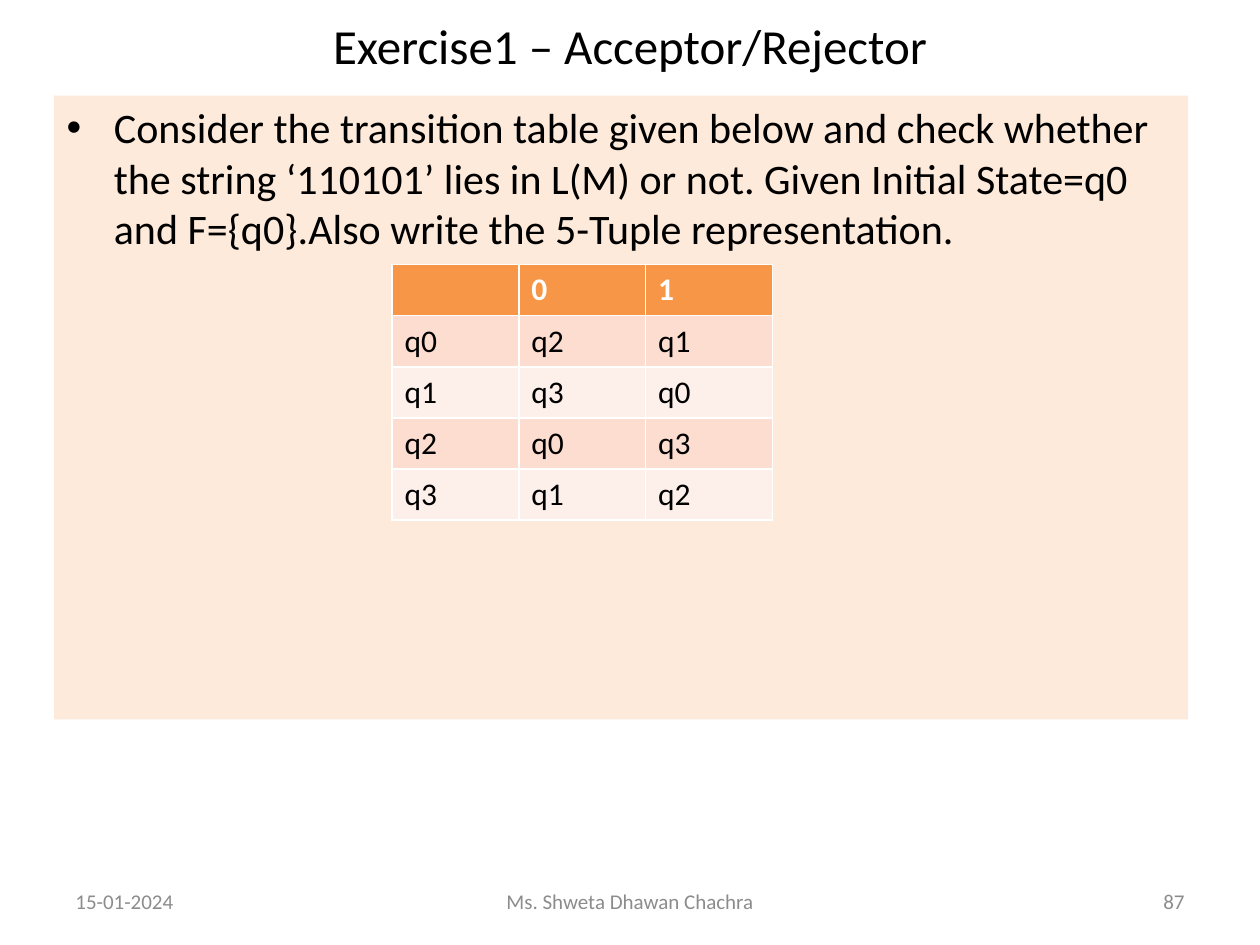
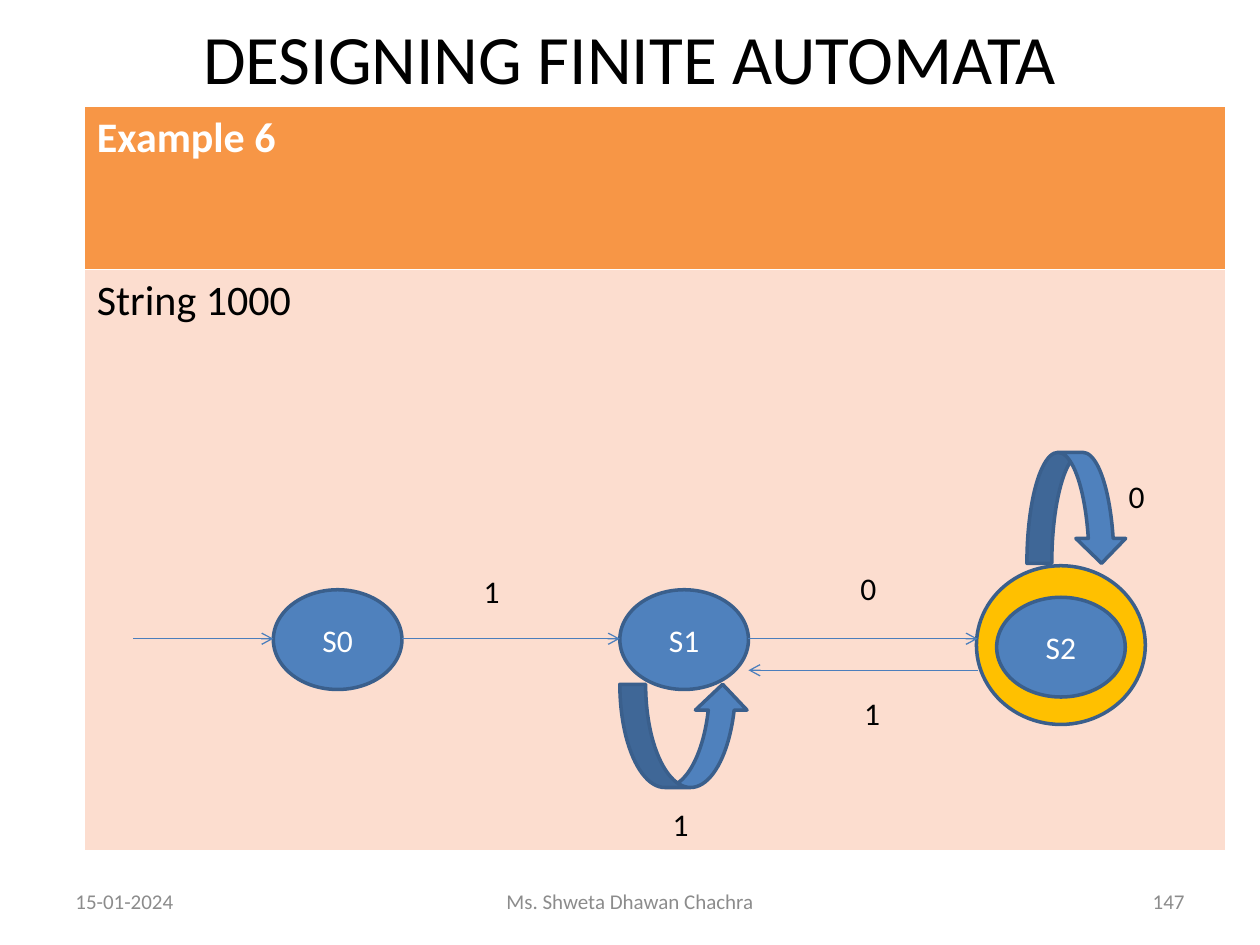
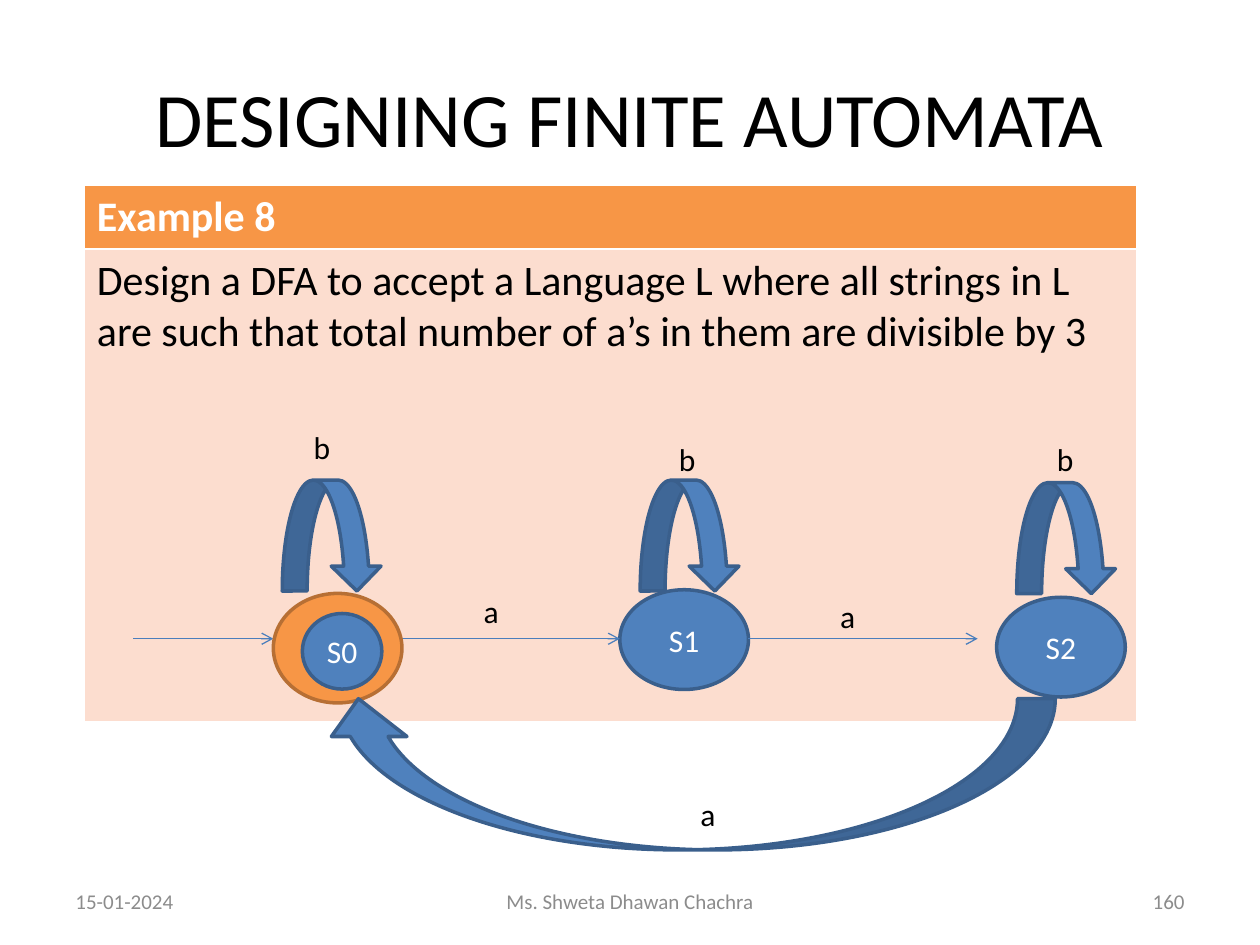
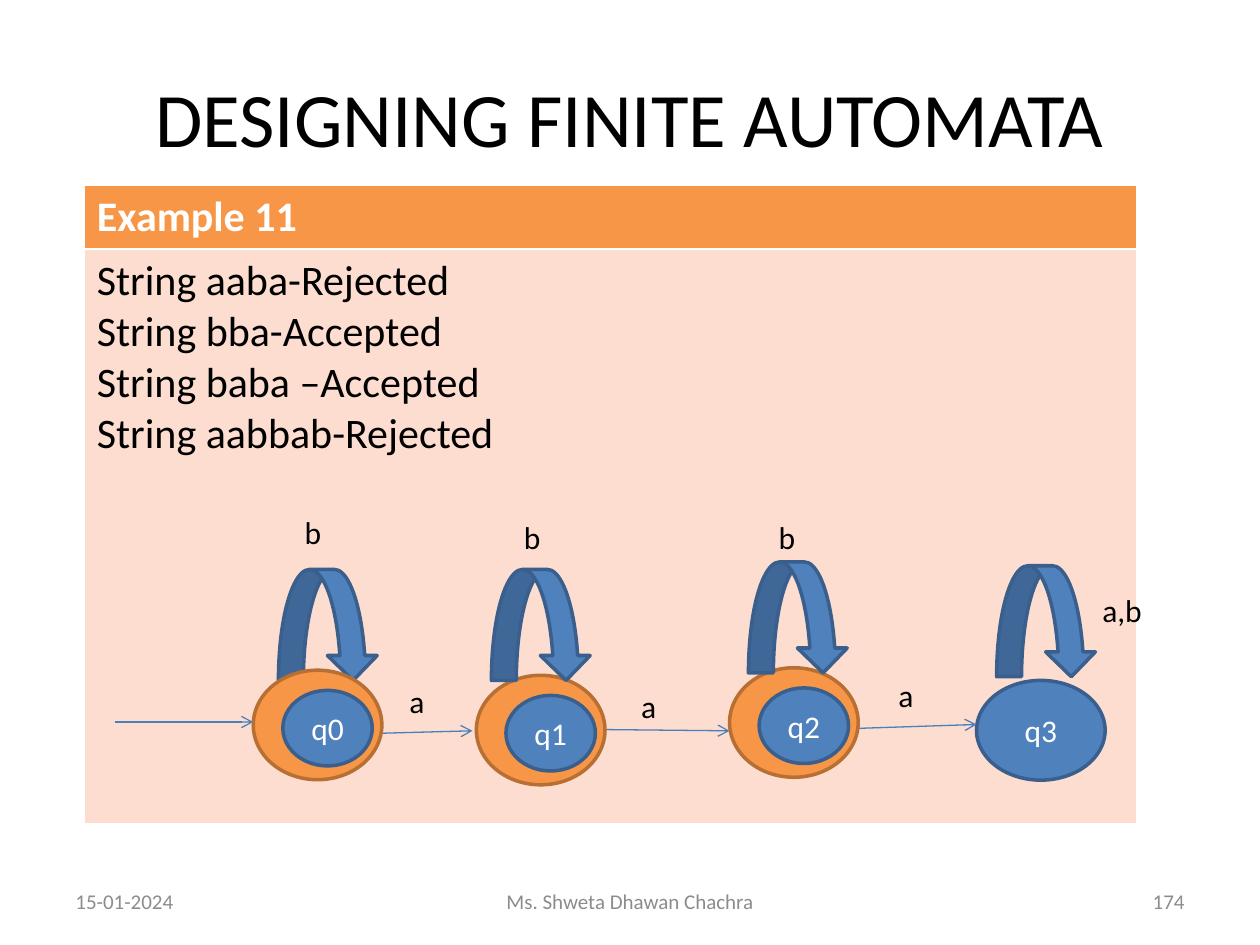
from pptx import Presentation
from pptx.dml.color import RGBColor
from pptx.enum.shapes import MSO_CONNECTOR, MSO_SHAPE as SHAPE
from pptx.enum.text import MSO_ANCHOR as ANCHOR, MSO_AUTO_SIZE, PP_ALIGN as ALIGN
from pptx.oxml.ns import qn
from pptx.util import Pt
from lxml.etree import SubElement

FONT = "Calibri"
COLORS = {
    "text": "000000", "white": "FFFFFF", "footer": "8C8C8C",
    "panel": "FDEADA", "header": "F79646", "row": "FCDDCF", "row_alt": "FDEFE9",
    "state": "4F81BD", "state_line": "3A5F8C", "arrow": "4B7EBC",
    "accept": "F79646", "accept_line": "B76F34", "gold": "FFC000",
}
HEADING = "DESIGNING FINITE AUTOMATA"
DATE, AUTHOR = "15-01-2024", "Ms. Shweta Dhawan Chachra"
STATE = (73.5, 57)
ACCEPT = (73.5, 62.6)
LOOP = (56.9, 63.4)


def rgb(name):
    return RGBColor.from_string(COLORS[name])


def write(tf, text, size=18, color="text", bold=False, align=ALIGN.LEFT,
          anchor=ANCHOR.TOP, wrap=True, bullet=False):
    """Fill a text frame, one paragraph for each line of text."""
    tf.word_wrap = wrap
    tf.vertical_anchor = anchor
    for i, line in enumerate(text.split("\n")):
        p = tf.paragraphs[0] if i == 0 else tf.add_paragraph()
        p.alignment = align
        if bullet:
            pPr = p._p.get_or_add_pPr()
            pPr.set("marL", str(Pt(27)))
            pPr.set("indent", str(-Pt(27)))
            SubElement(pPr, qn("a:buFont"), typeface="Arial")
            SubElement(pPr, qn("a:buChar"), char="•")
        r = p.add_run()
        r.text = line
        r.font.name, r.font.size, r.font.bold = FONT, Pt(size), bold
        r.font.color.rgb = rgb(color)


def add_text(s, text, x, y, w, h, **fmt):
    sp = s.shapes.add_textbox(Pt(x), Pt(y), Pt(w), Pt(h))
    write(sp.text_frame, text, **fmt)
    return sp


def add_label(s, text, x, y, w=23):
    add_text(s, text, x, y, w, 29, wrap=False)


def add_slide(prs, title, number, top=21.6, height=90, size=44):
    """Add a slide with its title and the shared footer."""
    s = prs.slides.add_slide(prs.slide_layouts[5])
    sp = s.shapes.title
    sp.left, sp.top, sp.width, sp.height = Pt(36), Pt(top), Pt(648), Pt(height)
    sp.text_frame.auto_size = MSO_AUTO_SIZE.NONE
    write(sp.text_frame, title, size=size, align=ALIGN.CENTER, anchor=ANCHOR.MIDDLE)
    for text, x, w, align in ((DATE, 36, 168, ALIGN.LEFT),
                              (AUTHOR, 246, 228, ALIGN.CENTER),
                              (str(number), 516, 168, ALIGN.RIGHT)):
        add_text(s, text, x, 500.5, w, 28.8, size=12, color="footer",
                 align=align, anchor=ANCHOR.MIDDLE)
    return s


def add_grid(s, rows, x, y, width, heights, size):
    """Add a table with an orange header and alternating rows."""
    n = len(rows[0])
    table = s.shapes.add_table(len(rows), n, Pt(x), Pt(y), Pt(width),
                               Pt(sum(heights))).table
    for col in table.columns:
        col.width = Pt(width / n)
    for i, values in enumerate(rows):
        table.rows[i].height = Pt(heights[i])
        fill = "header" if i == 0 else ("row_alt", "row")[i % 2]
        for j, value in enumerate(values):
            cell = table.cell(i, j)
            cell.fill.solid()
            cell.fill.fore_color.rgb = rgb(fill)
            if value:
                write(cell.text_frame, value, size=size, bold=i == 0,
                      color="white" if i == 0 else "text")


def add_example(s, header, body, heights, y=105.8, width=601.2):
    add_grid(s, [[header], [body]], 48.2, y, width, heights, 24)


def add_figure(shapes, kind, x, y, size, fill="state", line="state_line", text=None):
    sp = shapes.add_shape(kind, Pt(x), Pt(y), Pt(size[0]), Pt(size[1]))
    sp.shadow.inherit = False
    sp.fill.solid()
    sp.fill.fore_color.rgb = rgb(fill)
    sp.line.color.rgb = rgb(line)
    sp.line.width = Pt(2)
    if text:
        write(sp.text_frame, text, color="white", align=ALIGN.CENTER,
              anchor=ANCHOR.MIDDLE, wrap=False)
    return sp


def add_state(shapes, text, x, y, size=STATE):
    add_figure(shapes, SHAPE.OVAL, x, y, size, text=text)


def add_accept_ring(shapes, x, y):
    add_figure(shapes, SHAPE.OVAL, x, y, ACCEPT, "accept", "accept_line")


def add_accepting(s, text, x, y):
    """Group a ring with the state inside it."""
    shapes = s.shapes.add_group_shape().shapes
    add_accept_ring(shapes, x, y)
    add_state(shapes, text, x + 16.9, y + 11.5, (51.1, 43.2))


def add_loop(s, x, y):
    add_figure(s.shapes, SHAPE.CURVED_DOWN_ARROW, x, y, LOOP)


def add_arrow(s, x1, y1, x2, y2):
    c = s.shapes.add_connector(MSO_CONNECTOR.STRAIGHT, Pt(x1), Pt(y1), Pt(x2), Pt(y2))
    c.line.color.rgb = rgb("arrow")
    c.line.width = Pt(0.75)
    SubElement(c.line._get_or_add_ln(), qn("a:tailEnd"), type="arrow")
    SubElement(c._element.spPr, qn("a:effectLst"))


def add_chain(s):
    """Draw the entry arrow and the arrows through three states."""
    for x1, x2 in ((76.3, 156.2), (229.7, 354.2), (427.7, 558.7)):
        add_arrow(s, x1, 365, x2, 365)


def build_exercise(prs):
    s = add_slide(prs, "Exercise1 – Acceptor/Rejector", 87, top=9.4, height=33, size=28)
    panel = add_text(
        s, "Consider the transition table given below and check whether the string "
        "‘110101’ lies in L(M) or not. Given Initial State=q0 and F={q0}."
        "Also write the 5-Tuple representation.",
        31, 54.7, 648, 356.4, size=24, bullet=True)
    panel.fill.solid()
    panel.fill.fore_color.rgb = rgb("panel")
    rows = [["", "0", "1"], ["q0", "q2", "q1"], ["q1", "q3", "q0"],
            ["q2", "q0", "q3"], ["q3", "q1", "q2"]]
    add_grid(s, rows, 224, 151.2, 217.4, [29.2] * len(rows), 18)


def build_example_6(prs):
    s = add_slide(prs, HEADING, 147, height=21.6, size=39.6)
    add_example(s, "Example 6", "String 1000", (93.6, 331.9), y=60.5, width=652.3)
    add_state(s.shapes, "S0", 156.2, 337)
    add_figure(s.shapes, SHAPE.OVAL, 558, 323.3, (96.5, 90.7), "gold")
    add_state(s.shapes, "S2", 569.5, 341.3)
    add_state(s.shapes, "S1", 354.2, 337)
    add_chain(s)
    add_arrow(s, 558.7, 383, 427.7, 383)
    add_figure(s.shapes, SHAPE.CURVED_UP_ARROW, 354.2, 391, (73.5, 59))
    add_loop(s, 586.8, 258.5)
    for text, x, y in (("0", 484.6, 321.8), ("1", 269.3, 323.3), ("1", 486.7, 393.1),
                       ("1", 377.3, 456.5), ("0", 637.9, 269.3)):
        add_label(s, text, x, y)


def build_example_8(prs):
    s = add_slide(prs, HEADING, 160)
    add_example(s, "Example 8", "Design a DFA to accept a Language L where all strings "
                "in L are such that total number of a’s in them are divisible by 3",
                (36.5, 270))
    add_state(s.shapes, "S2", 569.5, 341.3)
    add_state(s.shapes, "S1", 354.2, 337)
    add_chain(s)
    add_accept_ring(s.shapes, 156.2, 339.1)
    for x, y in ((581, 275.8), (365.8, 274.3), (161.3, 274.3)):
        add_loop(s, x, y)
    back = add_figure(s.shapes, SHAPE.CURVED_LEFT_ARROW, 349.9, 232.6, (86.4, 419.8))
    back.rotation = 90
    add_state(s.shapes, "S0", 172.8, 350.6, (45.4, 43.2))
    for text, x, y in (("a", 269.3, 334.8), ("a", 473, 337.7), ("a", 393.1, 450.7),
                       ("b", 172.1, 241.2), ("b", 380.9, 247.7), ("b", 596.9, 247.7)):
        add_label(s, text, x, y)


def build_example_11(prs):
    s = add_slide(prs, HEADING, 174)
    add_example(s, "Example 11", "String aaba-Rejected\nString bba-Accepted\n"
                "String baba –Accepted\nString aabbab-Rejected", (36.5, 328.5))
    add_state(s.shapes, "q3", 558, 388.8)
    for ends in ((65.5, 412.6, 144.7, 412.6), (218.2, 419, 270, 417.6),
                 (345.6, 416.9, 416.9, 417.6), (491, 416.2, 558, 414)):
        add_arrow(s, *ends)
    add_loop(s, 569.5, 323.3)
    add_loop(s, 159.1, 325.4)
    for text, x, y in (("q0", 144.7, 383), ("q1", 272.2, 385.9), ("q2", 416.9, 381.6)):
        add_accepting(s, text, x, y)
    add_loop(s, 280.8, 325.4)
    add_loop(s, 427.7, 321.1)
    for text, x, y in (("a", 226.8, 385.9), ("a", 359.3, 388.8), ("a", 506.2, 383),
                       ("b", 167, 289.4), ("b", 292.3, 292.3), ("b", 437.8, 292.3)):
        add_label(s, text, x, y)
    add_label(s, "a,b", 622.8, 334.1, w=37.4)


def main():
    prs = Presentation()
    prs.slide_width, prs.slide_height = Pt(720), Pt(540)
    build_exercise(prs)
    build_example_6(prs)
    build_example_8(prs)
    build_example_11(prs)
    prs.save("out.pptx")


if __name__ == "__main__":
    main()
